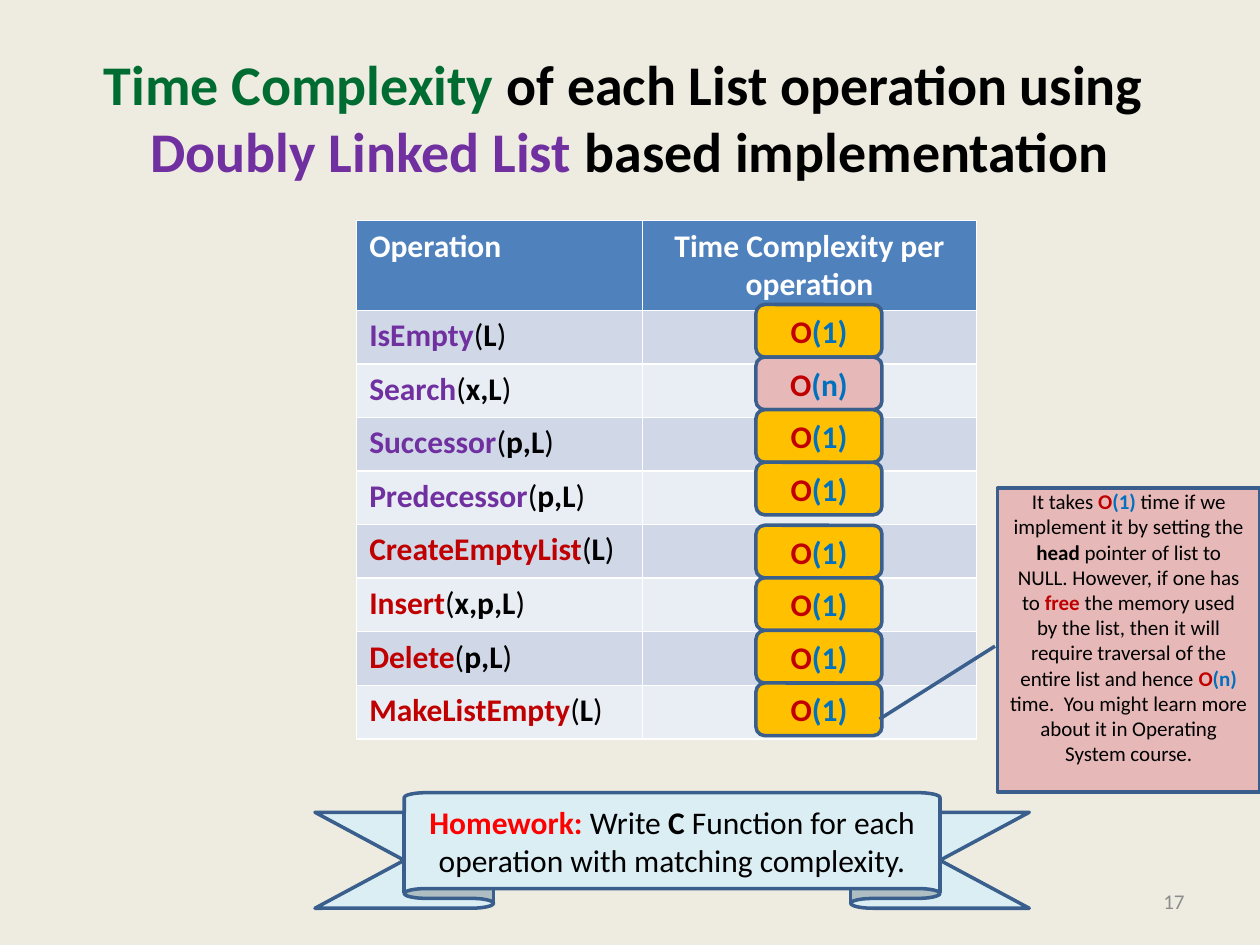
from pptx import Presentation, util as u
from pptx.dml.color import RGBColor
from pptx.enum import shapes, text

Cm = u.Cm
SHAPE, ALIGN, ANCHOR = shapes.MSO_SHAPE, text.PP_ALIGN, text.MSO_ANCHOR

BLACK, WHITE, RED, BLUE, PURPLE = "000000", "FFFFFF", "C00000", "0070C0", "7030A0"
AMBER, PINK, OUTLINE = "FFC000", "E6B9B8", "3A5F8C"

# Rich text: lists of (text, colour, bold)
TITLE = [
    ("Time Complexity ", "006C31", True),
    ("of each List operation using ", BLACK, True),
    ("\n", BLACK, True),
    ("Doubly Linked List ", PURPLE, True),
    ("based implementation", BLACK, True),
]
HEADERS = [("Operation", ALIGN.LEFT), ("Time Complexity per operation", ALIGN.CENTER)]
# name, arguments, colour of the name, cost
OPERATIONS = [
    ("IsEmpty", "L", PURPLE, "1"),
    ("Search", "x,L", PURPLE, "n"),
    ("Successor", "p,L", PURPLE, "1"),
    ("Predecessor", "p,L", PURPLE, "1"),
    ("CreateEmptyList", "L", RED, "1"),
    ("Insert", "x,p,L", RED, "1"),
    ("Delete", "p,L", RED, "1"),
    ("MakeListEmpty", "L", RED, "1"),
]
HOMEWORK = [
    ("Homework:", "FF0000", True),
    (" Write ", BLACK, False),
    ("C", BLACK, True),
    (" Function for each operation with matching complexity.", BLACK, False),
]
REMARK = [
    ("It takes ", BLACK, False),
    ("O", RED, True),
    ("(1) ", BLUE, True),
    ("time if we implement it by setting the ", BLACK, False),
    ("head", BLACK, True),
    (" pointer of list to NULL. However, if one has to ", BLACK, False),
    ("free", RED, True),
    (" the memory used by the list, then it will require traversal of the "
     "entire list and hence ", BLACK, False),
    ("O", RED, True),
    ("(n) ", BLUE, True),
    ("time.  You might learn more about it in Operating System course.", BLACK, False),
]


def rgb(value):
    """Turn a hex string into a colour."""
    return RGBColor.from_string(value)


def write(tf, runs, size, align=ALIGN.CENTER, anchor=ANCHOR.MIDDLE):
    """Fill a text frame with one paragraph of formatted runs."""
    tf.word_wrap = True
    tf.vertical_anchor = anchor
    p = tf.paragraphs[0]
    p.alignment = align
    for words, colour, bold in runs:
        if words == "\n":
            p.add_line_break()
            continue
        r = p.add_run()
        r.text = words
        r.font.name, r.font.size, r.font.bold = "Calibri", u.Pt(size), bold
        r.font.color.rgb = rgb(colour)


def add_box(s, kind, box, fill, runs, size, adjust=()):
    """Add an outlined preset shape with text."""
    sp = s.shapes.add_shape(kind, *map(Cm, box))
    sp.shadow.inherit = False
    sp.fill.solid()
    sp.fill.fore_color.rgb = rgb(fill)
    sp.line.color.rgb = rgb(OUTLINE)
    sp.line.width = u.Pt(2)
    for i, value in enumerate(adjust):
        sp.adjustments[i] = value
    write(sp.text_frame, runs, size)
    return sp


def fill_cell(cell, fill, runs=(), align=ALIGN.LEFT):
    """Colour a table cell and write its text."""
    cell.fill.solid()
    cell.fill.fore_color.rgb = rgb(fill)
    if runs:
        write(cell.text_frame, runs, 18, align, ANCHOR.TOP)


def add_operations(s):
    """Add the table of operations."""
    table = s.shapes.add_table(len(OPERATIONS) + 1, len(HEADERS),
                               Cm(7.19), Cm(4.45), Cm(12.5), Cm(10.44)).table
    for column, width in zip(table.columns, (5.76, 6.74)):
        column.width = Cm(width)
    for i, row in enumerate(table.rows):
        row.height = Cm(1.08 if i else 1.8)
    for i, (words, align) in enumerate(HEADERS):
        fill_cell(table.cell(0, i), "4F81BD", [(words, WHITE, True)], align)
    for i, (name, args, colour, _) in enumerate(OPERATIONS, 1):
        band = "D0D8E8" if i % 2 else "E9EDF4"
        call = [(name, colour, True), ("(", BLACK, False),
                (args, BLACK, True), (")", BLACK, False)]
        fill_cell(table.cell(i, 0), band, call)
        fill_cell(table.cell(i, 1), band)


def add_costs(s):
    """Add one cost badge per operation, with a gap between the two groups."""
    for i, (_, _, colour, cost) in enumerate(OPERATIONS):
        top = 6.14 + 1.06 * i + (0.21 if colour == RED else 0)
        add_box(s, SHAPE.ROUNDED_RECTANGLE, (15.24, top, 2.54, 1.06),
                PINK if cost == "n" else AMBER,
                [("O", RED, True), (f"({cost})", BLUE, True)], 18)


prs = Presentation()
prs.slide_width, prs.slide_height = Cm(25.4), Cm(19.05)
s = prs.slides.add_slide(prs.slide_layouts[5])
s.background.fill.solid()
s.background.fill.fore_color.rgb = rgb("EEECE1")

title = s.shapes.title
title.left, title.top, title.width, title.height = map(Cm, (1.27, 0.76, 22.86, 3.18))
write(title.text_frame, TITLE, 32)

add_operations(s)
number = s.shapes.add_textbox(Cm(18.2), Cm(17.66), Cm(5.93), Cm(1.01))
write(number.text_frame, [("17", "8C8C8C", False)], 12, ALIGN.RIGHT)
add_costs(s)
add_box(s, SHAPE.UP_RIBBON, (6.35, 15.98, 14.4, 2.33), "DBEEF4", HOMEWORK, 18,
        (0.17, 0.75))
remark = add_box(s, SHAPE.LINE_CALLOUT_1, (20.11, 9.84, 5.29, 6.13), PINK, REMARK, 12,
                 (0.52, -0.01, 0.76, -0.45))
remark.text_frame.margin_bottom = Cm(0.64)

prs.save("out.pptx")
